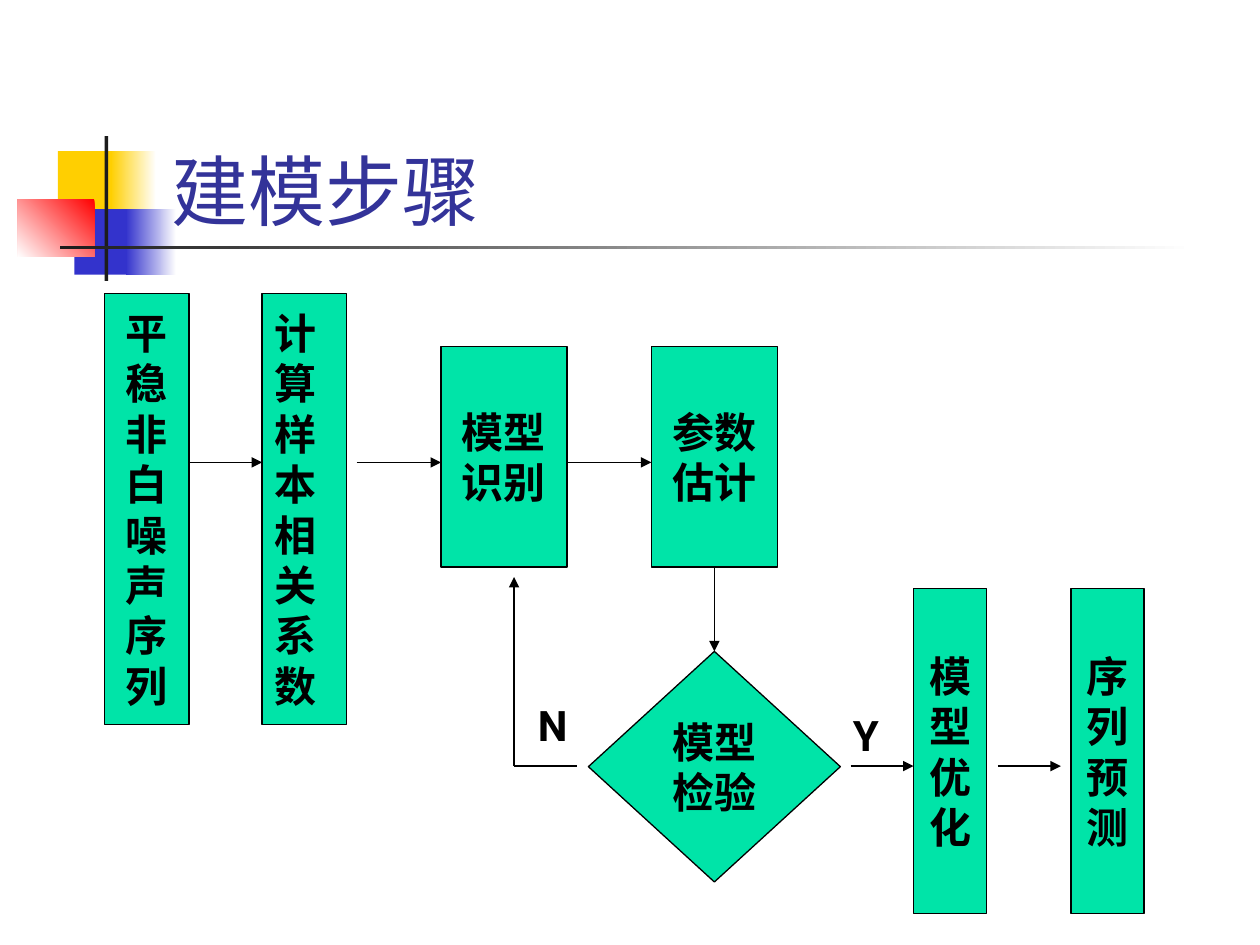
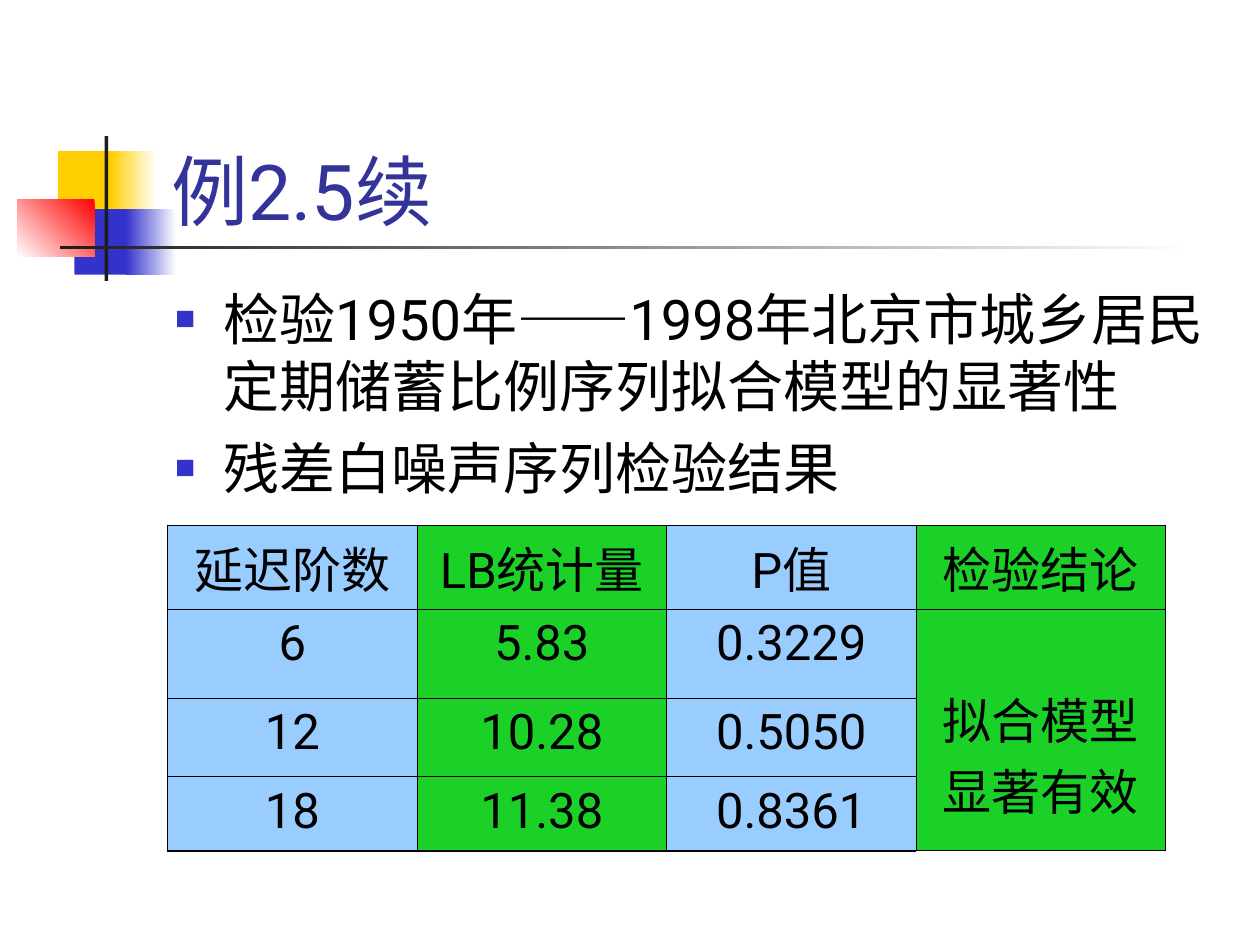
from lxml import etree
from pptx import Presentation
from pptx.dml.color import RGBColor
from pptx.enum import shapes, text
from pptx.oxml.ns import qn
from pptx.util import Inches, Pt

LATIN, CJK = "Roboto", "Noto Sans CJK SC"
BLACK, TITLE, GREEN = "000000", "333399", "00E4A8"
YELLOW, BLUE, RED, DARK, WHITE = "FFCF01", "3333CC", "FF0000", "1C1C1C", "FFFFFF"
LEFT, CENTER = text.PP_ALIGN.LEFT, text.PP_ALIGN.CENTER
RECT, DIAMOND = shapes.MSO_SHAPE.RECTANGLE, shapes.MSO_SHAPE.DIAMOND

# Shared decoration: box, colour or (from, to, angle)
DECOR = [
    ((0.46, 1.2, 0.48, 0.52), YELLOW),
    ((0.88, 1.2, 0.36, 0.52), (WHITE, YELLOW, 180)),
    ((0.59, 1.66, 0.46, 0.52), BLUE),
    ((1, 1.66, 0.4, 0.52), (WHITE, BLUE, 180)),
    ((0.14, 1.58, 0.61, 0.46), (RED, WHITE, 225)),
    ((0.83, 1.08, 0.03, 1.15), DARK),
    ((0.48, 1.95, 9, 0.03), (WHITE, DARK, 180)),
]

# Modelling steps: name, box, lines of text, shape, alignment
STEPS = [
    ("series", (0.83, 2.33, 0.67, 3.42), list("平稳非白噪声序列"), RECT, CENTER),
    ("coefficients", (2.08, 2.33, 0.67, 3.42), list("计算样本相关系数"), RECT, LEFT),
    ("identify", (3.5, 2.75, 1, 1.75), ["模型", "识别"], RECT, CENTER),
    ("estimate", (5.17, 2.75, 1, 1.75), ["参数", "估计"], RECT, CENTER),
    ("check", (4.67, 5.17, 2, 1.83), ["模型", "检验"], DIAMOND, CENTER),
    ("optimise", (7.25, 4.67, 0.58, 2.58), list("模型优化"), RECT, CENTER),
    ("forecast", (8.5, 4.67, 0.58, 2.58), list("序列预测"), RECT, CENTER),
]
# Flow lines: x1, y1, x2, y2, arrowhead
FLOWS = [
    (1.5, 3.67, 2.08, 3.67, True),
    (2.83, 3.67, 3.5, 3.67, True),
    (4.5, 3.67, 5.17, 3.67, True),
    (6.75, 6.08, 7.25, 6.08, True),
    (7.92, 6.08, 8.42, 6.08, True),
    (4.08, 6.08, 4.58, 6.08, False),
    (4.08, 6.08, 4.08, 4.58, True),
]
ANSWERS = [("Y", 6.67, 5.58), ("N", 4.17, 5.5)]

BULLETS = [
    [("检验", CJK), ("1950", LATIN), ("年——", CJK), ("1998", LATIN),
     ("年北京市城乡居民定期储蓄比例序列拟合模型的显著性", CJK)],
    "残差白噪声序列检验结果",
]
TESTS = [
    ["延迟阶数", "LB统计量", "P值", "检验结论"],
    ["6", "5.83", "0.3229", "拟合模型显著有效"],
    ["12", "10.28", "0.5050", ""],
    ["18", "11.38", "0.8361", ""],
]
ROW_HEIGHTS = [0.59, 0.71, 0.62, 0.59]
COLUMN_FILLS = ["99CCFF", "1BD128"]


def rgb(value):
    return RGBColor.from_string(value)


def inches(*values):
    return [Inches(v) for v in values]


def add_bullet(p):
    pPr = p._p.get_or_add_pPr()
    pPr.set("marL", str(Inches(0.38)))
    pPr.set("indent", str(-Inches(0.38)))
    colour = etree.SubElement(pPr, qn("a:buClr"))
    etree.SubElement(colour, qn("a:srgbClr"), val=BLUE)
    etree.SubElement(pPr, qn("a:buSzPct"), val="60000")
    etree.SubElement(pPr, qn("a:buChar"), char="■")


def write(tf, paragraphs, size=24, color=BLACK, bold=False, align=LEFT,
          before=0, leading=1.2, bullet=False, anchor=text.MSO_ANCHOR.TOP):
    """Fill a text frame; a paragraph is a string or a list of (text, font)."""
    tf.word_wrap = True
    tf.vertical_anchor = anchor
    for i, runs in enumerate(paragraphs):
        p = tf.paragraphs[0] if i == 0 else tf.add_paragraph()
        if bullet:
            add_bullet(p)
        p.alignment = align
        p.space_before = Pt(before if i else 0)
        if leading:
            p.line_spacing = Pt(size * leading)
        for content, font in [(runs, LATIN)] if isinstance(runs, str) else runs:
            r = p.add_run()
            r.text = content
            r.font.size, r.font.bold, r.font.name = Pt(size), bold, font
            r.font.color.rgb = rgb(color)
            latin = r._r.rPr.find(qn("a:latin"))
            latin.addnext(latin.makeelement(qn("a:ea"), {"typeface": CJK}))


def add_box(s, kind, box, fill, line=None):
    sp = s.shapes.add_shape(kind, *inches(*box))
    sp.shadow.inherit = False
    if isinstance(fill, tuple):
        sp.fill.gradient()
        for stop, value in zip(sp.fill.gradient_stops, fill):
            stop.color.rgb = rgb(value)
        sp.fill.gradient_angle = fill[2]
    else:
        sp.fill.solid()
        sp.fill.fore_color.rgb = rgb(fill)
    if line:
        sp.line.color.rgb, sp.line.width = rgb(line), Pt(0.75)
    else:
        sp.line.fill.background()
    return sp


def add_flow(s, x1, y1, x2, y2, arrow=True):
    cx = s.shapes.add_connector(shapes.MSO_CONNECTOR.STRAIGHT, *inches(x1, y1, x2, y2))
    cx.line.color.rgb, cx.line.width = rgb(BLACK), Pt(0.75)
    if arrow:
        etree.SubElement(cx.line._get_or_add_ln(), qn("a:tailEnd"), type="triangle")
    etree.SubElement(cx._element.spPr, qn("a:effectLst"))
    return cx


def place(sp, *box):
    sp.left, sp.top, sp.width, sp.height = inches(*box)


def add_slide(prs, layout, title):
    s = prs.slides.add_slide(prs.slide_layouts[layout])
    for box, fill in DECOR:
        add_box(s, RECT, box, fill)
    sp = s.shapes.title
    place(sp, 1.26, 0.67, 8.52, 1.25)
    sp.text_frame.auto_size = text.MSO_AUTO_SIZE.NONE
    write(sp.text_frame, [title], size=44, color=TITLE, anchor=text.MSO_ANCHOR.BOTTOM)
    sp._element.getparent().append(sp._element)  # title lies above the decoration
    return s


def set_borders(cell, **widths):
    tcPr = cell._tc.get_or_add_tcPr()
    for side, width in widths.items():
        ln = etree.SubElement(tcPr, qn(f"a:ln{side}"), w=str(Pt(width)))
        fill = etree.SubElement(ln, qn("a:solidFill"))
        etree.SubElement(fill, qn("a:srgbClr"), val=BLACK)


def build_steps(prs):
    s = add_slide(prs, 5, "建模步骤")
    steps = {}
    for name, box, lines, kind, align in STEPS:
        steps[name] = sp = add_box(s, kind, box, GREEN, line=BLACK)
        write(sp.text_frame, lines, bold=True, align=align, anchor=text.MSO_ANCHOR.MIDDLE)
    for flow in FLOWS:
        add_flow(s, *flow)
    cx = add_flow(s, 5.67, 4.5, 5.67, 5.17)
    cx.begin_connect(steps["estimate"], 2)
    cx.end_connect(steps["check"], 0)
    for answer, x, y in ANSWERS:
        sp = s.shapes.add_textbox(*inches(x, y, 0.42, 0.5))
        write(sp.text_frame, [answer], bold=True)


def build_example(prs):
    s = add_slide(prs, 1, "例2.5续")
    body = s.placeholders[1]
    place(body, 1.29, 2.21, 8.5, 4.5)
    body.text_frame.auto_size = text.MSO_AUTO_SIZE.NONE
    write(body.text_frame, BULLETS, size=32, before=8, bullet=True)

    # Test results, with the conclusion spanning all lags
    rows, cols = len(TESTS), len(TESTS[0])
    frame = s.shapes.add_table(rows, cols, *inches(1.33, 4.17, 7.92, sum(ROW_HEIGHTS)))
    table = frame.table
    for row, height in zip(table.rows, ROW_HEIGHTS):
        row.height = Inches(height)
    for i, values in enumerate(TESTS):
        for j, value in enumerate(values):
            cell = table.cell(i, j)
            set_borders(cell, L=0.45 if j else 1.08, R=1.08 if j == cols - 1 else 0.45,
                        T=0.45 if i else 1.08, B=1.08 if i == rows - 1 else 0.45)
            cell.fill.solid()
            cell.fill.fore_color.rgb = rgb(COLUMN_FILLS[j % 2])
            if value:
                write(cell.text_frame, [value], size=28, align=CENTER, leading=None)
    conclusion = table.cell(1, cols - 1)
    conclusion.merge(table.cell(rows - 1, cols - 1))
    conclusion.margin_top = Inches(0.59)


def main():
    prs = Presentation()
    prs.slide_width, prs.slide_height = inches(10, 7.5)
    build_steps(prs)
    build_example(prs)
    prs.save("out.pptx")


if __name__ == "__main__":
    main()
